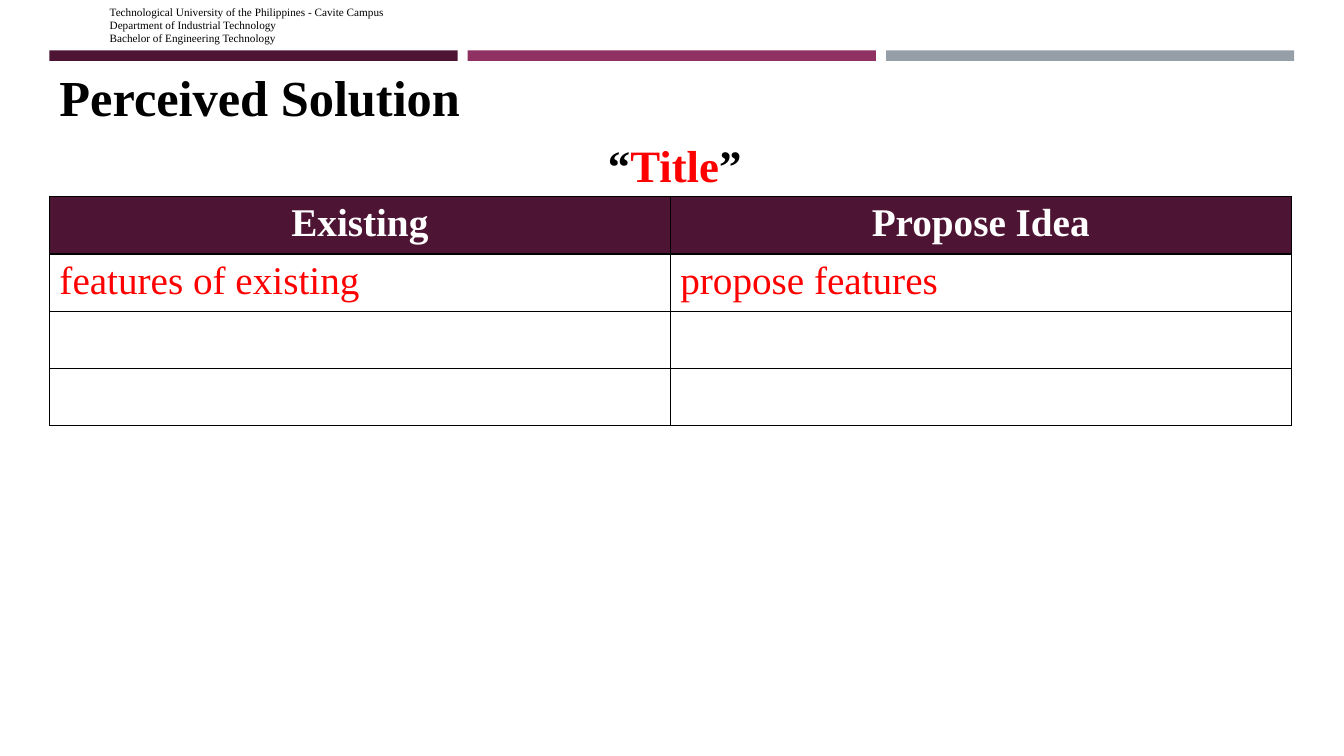
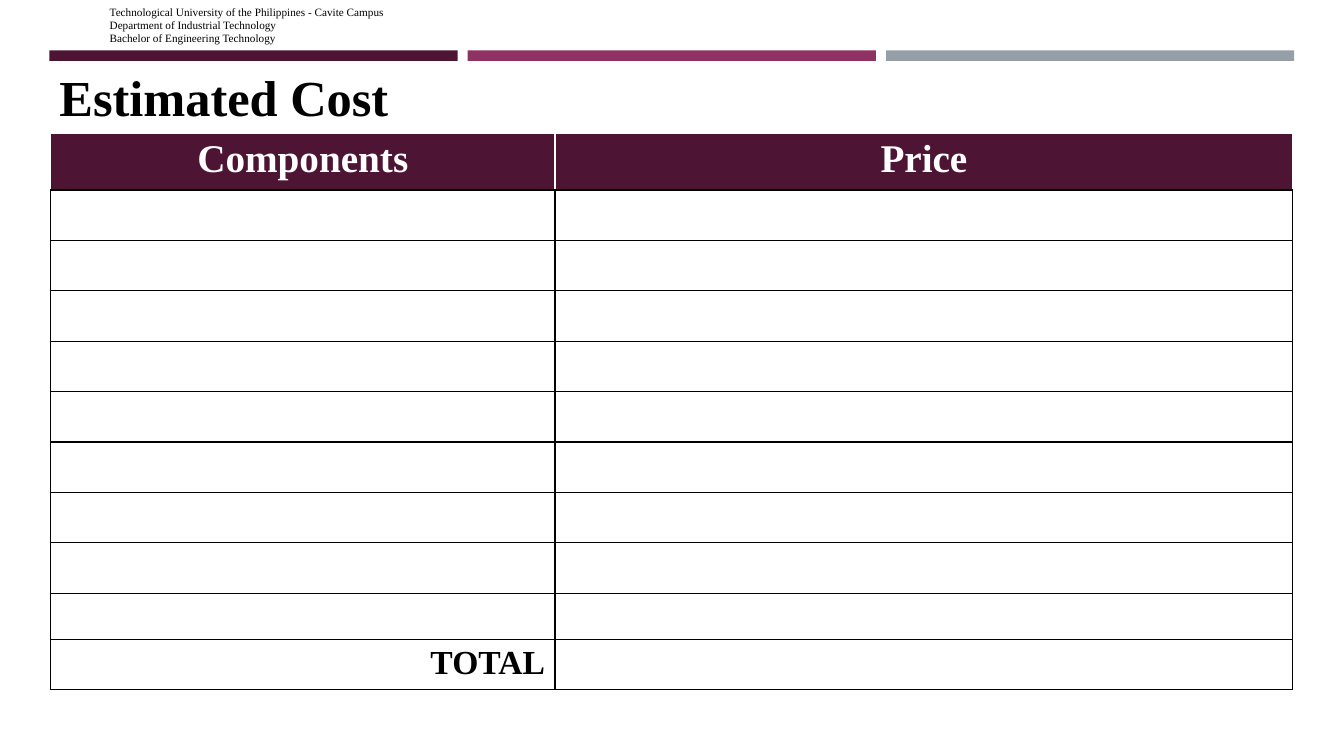
"""Builds the solution and cost slides of a project proposal."""
from lxml import etree
from pptx import Presentation
from pptx.dml.color import RGBColor
from pptx.enum import shapes, text
from pptx.oxml.ns import qn
from pptx.util import Pt

PLUM = RGBColor(0x4D, 0x14, 0x34)
BERRY = RGBColor(0x90, 0x31, 0x63)
GREY = RGBColor(0x96, 0x9F, 0xA7)
BLACK = RGBColor(0, 0, 0)
WHITE = RGBColor(255, 255, 255)
RED = RGBColor(255, 0, 0)
FACE = "Times New Roman"
LEFT = 35.3
WIDE = 887
CENTER, RIGHT = text.PP_ALIGN.CENTER, text.PP_ALIGN.RIGHT
SCHOOL = (
    "Technological University of the Philippines - Cavite Campus",
    "Department of Industrial Technology",
    "Bachelor of Engineering Technology",
)


def style(para, size, color=BLACK, bold=False, align=text.PP_ALIGN.LEFT):
    para.alignment = align
    font = para.font
    font.name, font.size, font.bold = FACE, Pt(size), bold
    font.color.rgb = color


def place(shape, left, top, width, height):
    shape.left, shape.top = Pt(left), Pt(top)
    shape.width, shape.height = Pt(width), Pt(height)


def add_bands(slide):
    tree = slide.slide_layout.shapes.element
    for i, color in enumerate((PLUM, BERRY, GREY)):
        band = slide.shapes.add_shape(
            shapes.MSO_SHAPE.RECTANGLE,
            Pt(LEFT + i * 298.8), Pt(36), Pt(291.6), Pt(7.5))
        band.shadow.inherit = False
        band.fill.solid()
        band.fill.fore_color.rgb = color
        band.line.fill.background()
        tree.append(band.element)


def add_box(slide, left, top, width, height):
    box = slide.shapes.add_textbox(Pt(left), Pt(top), Pt(width), Pt(height))
    box.text_frame.word_wrap = True
    return box.text_frame


def add_slide(deck, title, width):
    slide = deck.slides.add_slide(deck.slide_layouts[5])
    head = slide.shapes.title
    place(head, LEFT, 43.9, width, 51.1)
    frame = head.text_frame
    frame.text = title
    frame.auto_size = text.MSO_AUTO_SIZE.NONE
    frame.vertical_anchor = text.MSO_ANCHOR.TOP
    style(frame.paragraphs[0], 36, bold=True)
    return slide


def add_school(slide):
    frame = add_box(slide, 71.3, 0, 220.3, 36)
    frame.text = "\n".join(SCHOOL)
    for para in frame.paragraphs:
        style(para, 8)


def add_quote(slide):
    para = add_box(slide, 0, 95, 964, 46).paragraphs[0]
    style(para, 32, bold=True, align=CENTER)
    for part, color in (("“", BLACK), ("Title", RED), ("”", BLACK)):
        run = para.add_run()
        run.text = part
        run.font.color.rgb = color


def set_edges(cell, colors):
    props = cell._tc.get_or_add_tcPr()
    for side, color in zip("LRTB", colors):
        line = etree.SubElement(props, qn("a:ln" + side), w=str(Pt(1)))
        fill = etree.SubElement(line, qn("a:solidFill"))
        etree.SubElement(fill, qn("a:srgbClr"), val=str(color))


def add_grid(slide, left, top, cols, rows, heads, edge):
    frame = slide.shapes.add_table(
        len(rows), len(cols), Pt(left), Pt(top), Pt(sum(cols)), Pt(sum(rows)))
    table = frame.table
    table.horz_banding = False
    for col, width in zip(table.columns, cols):
        col.width = Pt(width)
    for row, height in zip(table.rows, rows):
        row.height = Pt(height)
    for i, cell in enumerate(table.iter_cells()):
        top_row = i < len(cols)
        side = edge if top_row else BLACK
        set_edges(cell, (side, side, side, BLACK))
        cell.fill.solid()
        cell.fill.fore_color.rgb = PLUM if top_row else WHITE
    for i, head in enumerate(heads):
        fill_cell(table.cell(0, i), head, 28, WHITE, True, CENTER)
    return table


def fill_cell(cell, words, *look):
    cell.text = words
    style(cell.text_frame.paragraphs[0], *look)


def add_ideas(deck):
    slide = add_slide(deck, "Perceived Solution", WIDE)
    add_bands(slide)
    add_quote(slide)
    table = add_grid(slide, LEFT, 140.6, [WIDE / 2] * 2, [40.8] * 4,
                     ("Existing", "Propose Idea"), BLACK)
    for i, words in enumerate(("features of existing", "propose features")):
        fill_cell(table.cell(1, i), words, 28, RED)
    add_school(slide)


def add_costs(deck):
    slide = add_slide(deck, "Estimated Cost", 964)
    rows = [40.8] + [36] * 8 + [33, 36]
    table = add_grid(slide, 36, 95, (360.5, 527), rows,
                     ("Components", "Price"), WHITE)
    fill_cell(table.cell(len(rows) - 1, 0), "TOTAL", 24, BLACK, True, RIGHT)
    add_school(slide)


def main():
    deck = Presentation()
    deck.slide_width, deck.slide_height = Pt(960), Pt(540)
    add_ideas(deck)
    add_costs(deck)
    deck.save("out.pptx")


main()
